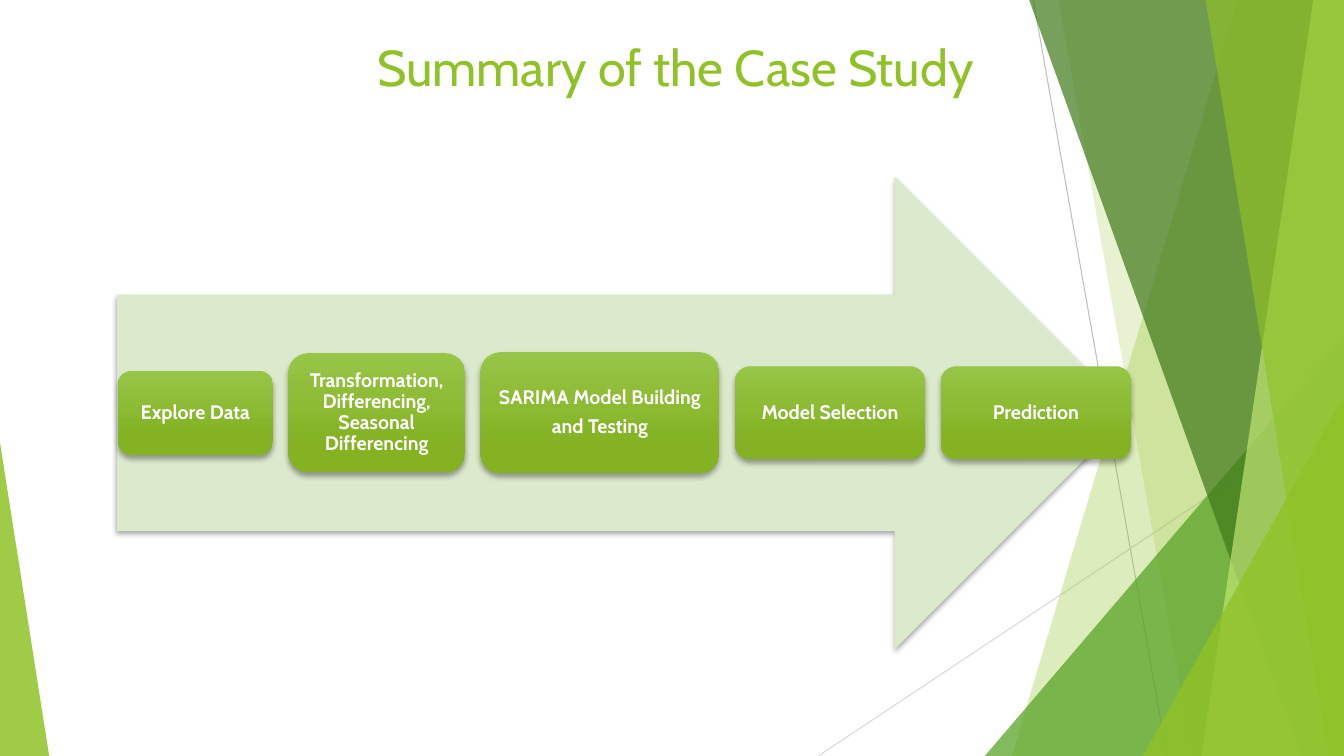
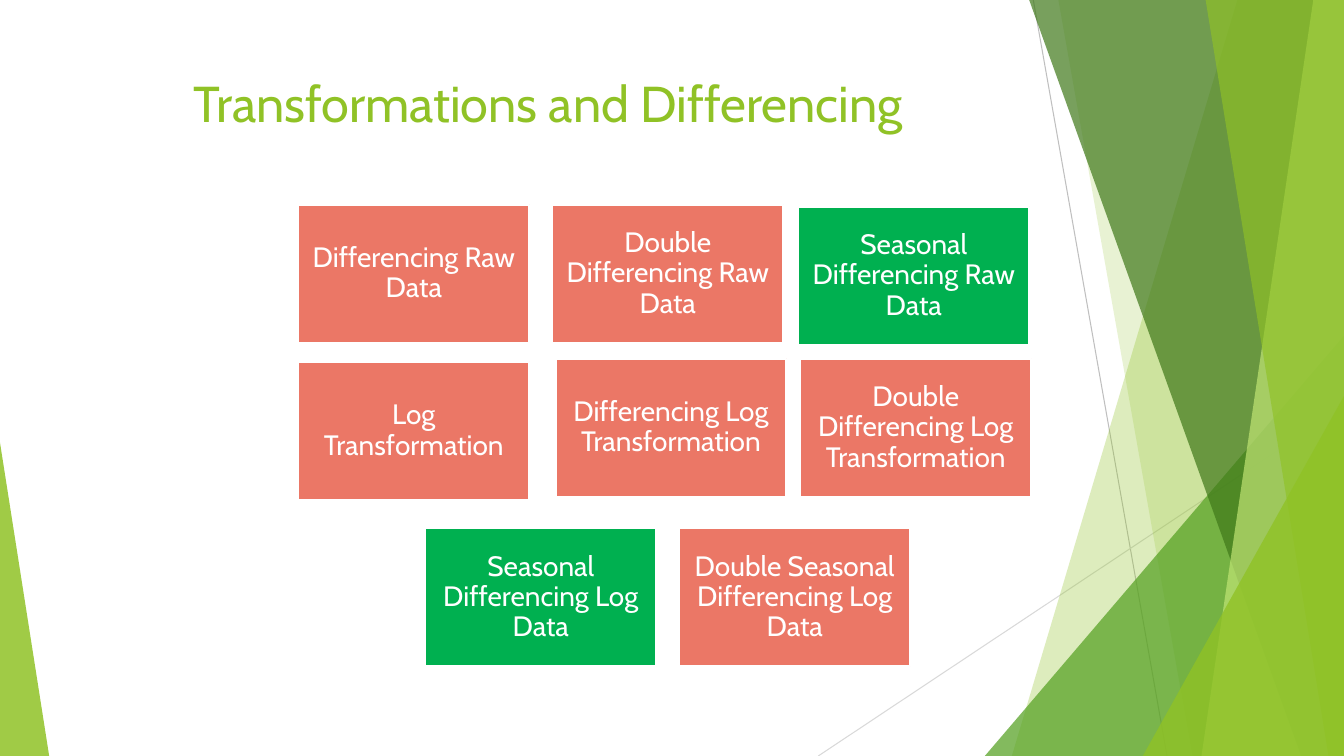
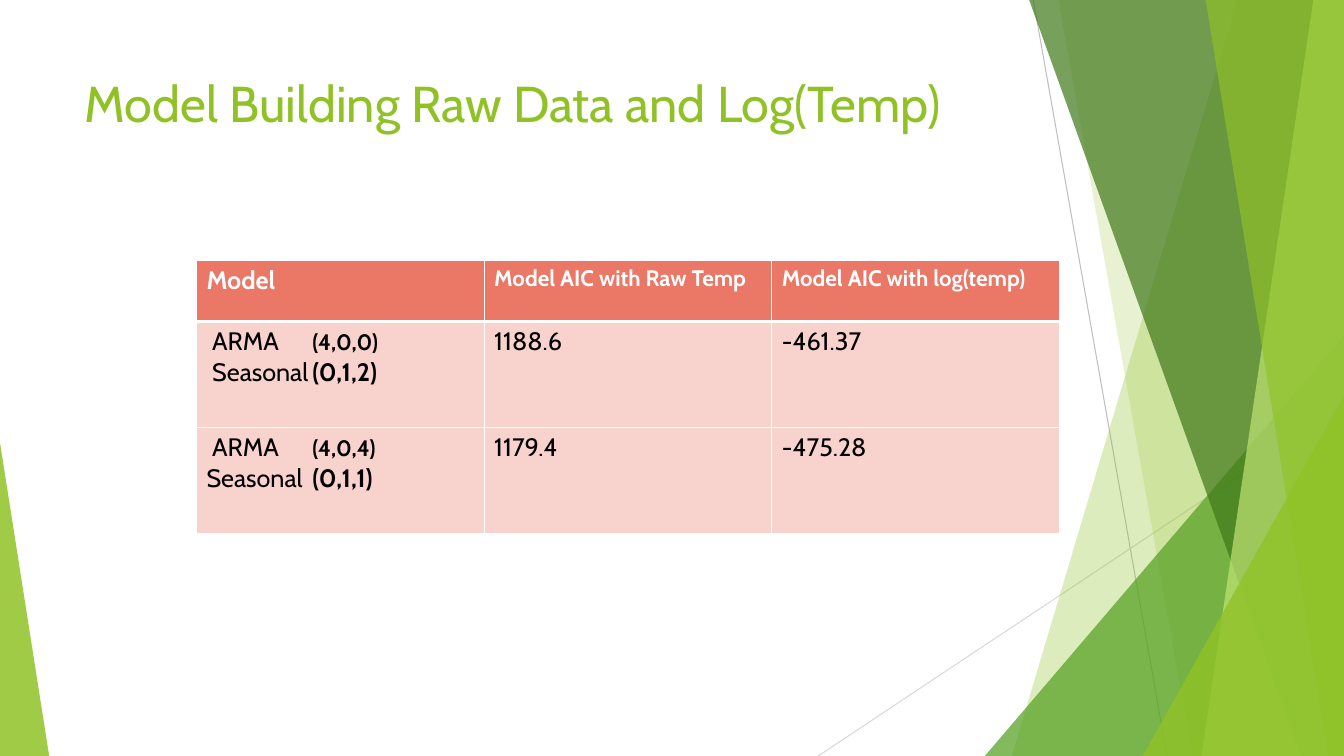
import lxml.etree
import pptx
import pptx.dml.color
import pptx.enum.shapes
import pptx.enum.text
import pptx.oxml
import pptx.oxml.ns
import pptx.util

Cm, Pt, qn = pptx.util.Cm, pptx.util.Pt, pptx.oxml.ns.qn
Preset = pptx.enum.shapes.MSO_SHAPE
Align = pptx.enum.text.PP_ALIGN
Anchor = pptx.enum.text.MSO_ANCHOR

FONT = "Cabin"
GREEN, WHITE, BLACK = "90C226", "FFFFFF", "000000"
CORAL, PALE_CORAL, CHOSEN = "EB7766", "F8D2CC", "00B050"
WIDTH, HEIGHT = 33.87, 19.05


def set_color(color_format, hex_color):
    """Give a fill, line, font or gradient stop its colour."""
    color_format.rgb = pptx.dml.color.RGBColor.from_string(hex_color)


def add_box(slide, preset, left, top, width, height, lines=(), size=14, bold=False,
            margin=0.15, shadow=None):
    """Add a shape with centred white text and a shadow of (blur, distance) points."""
    shape = slide.shapes.add_shape(preset, Cm(left), Cm(top), Cm(width), Cm(height))
    shape.line.fill.background()
    shape.shadow.inherit = False
    if shadow:
        blur, distance = shadow
        effects = shape.element.spPr.find(qn("a:effectLst"))
        outer = lxml.etree.SubElement(effects, qn("a:outerShdw"), blurRad=str(Pt(blur)),
                                      dist=str(Pt(distance)), dir="5400000", rotWithShape="0")
        color = lxml.etree.SubElement(outer, qn("a:srgbClr"), val=BLACK)
        lxml.etree.SubElement(color, qn("a:alpha"), val="35000")
    frame = shape.text_frame
    frame.word_wrap = True
    frame.vertical_anchor = Anchor.MIDDLE
    frame.margin_left = frame.margin_right = Cm(margin)
    frame.margin_top = frame.margin_bottom = Cm(margin)
    for index, line in enumerate(lines):
        paragraph = frame.add_paragraph() if index else frame.paragraphs[0]
        paragraph.text = line
        paragraph.alignment = Align.CENTER
        paragraph.line_spacing = 0.9
        paragraph.space_after = Pt(0.35 * size)
        paragraph.font.name, paragraph.font.size = FONT, Pt(size)
        paragraph.font.bold = bold
        set_color(paragraph.font.color, WHITE)
    return shape


presentation = pptx.Presentation()
presentation.slide_width, presentation.slide_height = Cm(WIDTH), Cm(HEIGHT)
layout = presentation.slide_layouts[5]
for placeholder in list(layout.placeholders):
    if placeholder.placeholder_format.type != pptx.enum.shapes.PP_PLACEHOLDER.TITLE:
        layout.shapes.element.remove(placeholder.element)

# Slides and titles: text, left, top, width, height, alignment
titles = [
    ("Summary of the Case Study", 3.05, 0.79, 27.94, 3.05, Align.CENTER),
    ("Transformations and Differencing", 1.88, 1.7, 23.88, 3.66, Align.CENTER),
    ("Model Building Raw Data and Log(Temp)", 1.88, 1.7, 23.88, 3.66, Align.LEFT),
]
slides = []
for text, left, top, width, height, alignment in titles:
    slide = presentation.slides.add_slide(layout)
    title = slide.shapes.title
    title.left, title.top, title.width, title.height = Cm(left), Cm(top), Cm(width), Cm(height)
    title.text_frame.vertical_anchor = Anchor.TOP
    paragraph = title.text_frame.paragraphs[0]
    paragraph.text = text
    paragraph.alignment = alignment
    paragraph.font.name, paragraph.font.size = FONT, Pt(36)
    set_color(paragraph.font.color, GREEN)
    slides.append(slide)
summary, transformations, models = slides

# Backdrop, drawn once and moved to the layout
backdrop = []
for start_x, start_y, end_x, color in [(26.04, 0, 29.41, "BFBFBF"),
                                       (WIDTH, 10.24, 20.62, "D9D9D9")]:
    line = summary.shapes.add_connector(pptx.enum.shapes.MSO_CONNECTOR.STRAIGHT,
                                        Cm(start_x), Cm(start_y), Cm(end_x), Cm(HEIGHT))
    set_color(line.line.color, color)
    line.line.width = Pt(0.75)
    lxml.etree.SubElement(line.element.spPr, qn("a:effectLst"))
    backdrop.append(line)

# Bands reach the right edge: (top x, bottom x)
# Triangles stand on the bottom edge: (left, top, width, apex)
facets = [
    ((31.19, 25.5), GREEN, 30),
    ((26.67, 30.05), GREEN, 20),
    ((24.82, 8.46, 9.05, 1), "54A021", 72),
    ((25.93, 32.79), "3F7819", 70),
    ((33.1, 30.28), "C0E474", 70),
    ((30.38, 33.48), GREEN, 65),
    ((28.8, 9.98, 5.07, 1), GREEN, 80),
    ((0, 11.15, 1.24, 0), GREEN, 85),
]
for geometry, color, opacity in facets:
    if len(geometry) == 2:
        top_x, bottom_x = geometry
        builder = summary.shapes.build_freeform(Cm(top_x), Cm(-0.02))
        builder.add_line_segments([(Cm(WIDTH), Cm(-0.02)), (Cm(WIDTH), Cm(HEIGHT)),
                                   (Cm(bottom_x), Cm(HEIGHT))])
        facet = builder.convert_to_shape()
        facet.line.fill.background()
        facet.shadow.inherit = False
    else:
        left, top, width, apex = geometry
        facet = add_box(summary, Preset.ISOSCELES_TRIANGLE, left, top, width, HEIGHT - top)
        facet.adjustments[0] = apex
    facet.fill.solid()
    set_color(facet.fill.fore_color, color)
    lxml.etree.SubElement(facet.element.spPr.find(".//" + qn("a:srgbClr")), qn("a:alpha"),
                          val=str(opacity * 1000))
    backdrop.append(facet)
for index, shape in enumerate(backdrop):
    layout.shapes.element.insert(2 + index, shape.element)

# Summary: steps along an arrow
arrow = add_box(summary, Preset.RIGHT_ARROW, 2.95, 4.45, 25.55, 11.91, shadow=(3, 2))
arrow.fill.solid()
set_color(arrow.fill.fore_color, "DBE9CD")
steps = [
    (["Explore Data"], 3.91, 2.11),
    (["Transformation, Differencing, Seasonal Differencing"], 4.45, 3),
    (["SARIMA Model Building", "and Testing"], 6.02, 3.05),
    (["Model Selection"], 4.8, 2.34),
    (["Prediction"], 4.8, 2.34),
]
step_left, step_gap, step_middle = 2.97, 0.39, 10.4
for lines, width, height in steps:
    step = add_box(summary, Preset.ROUNDED_RECTANGLE, step_left, step_middle - height / 2,
                   width, height, lines, bold=True, shadow=(4, 3))
    step.fill.gradient()
    step.fill.gradient_angle = 270
    for stop, color, position in zip(step.fill.gradient_stops, ("97C547", "84B223"), (0, 0.78)):
        set_color(stop.color, color)
        stop.position = position
    step_left += width + step_gap

# Transformations: text, left, top, colour
cards = [
    ("Differencing Raw Data", 7.52, 5.16, CORAL),
    ("Double Differencing Raw Data", 13.92, 5.16, CORAL),
    ("Log Transformation", 7.52, 9.12, CORAL),
    ("Differencing Log Transformation", 14, 9.04, CORAL),
    ("Double Differencing Log Transformation", 20.17, 9.04, CORAL),
    ("Seasonal Differencing Raw Data", 20.12, 5.21, CHOSEN),
    ("Seasonal Differencing Log Data", 10.72, 13.31, CHOSEN),
    ("Double Seasonal Differencing Log Data", 17.12, 13.31, CORAL),
]
for text, left, top, color in cards:
    card = add_box(transformations, Preset.RECTANGLE, left, top, 5.82, 3.48, [text], 20,
                   margin=0.2)
    card.fill.solid()
    set_color(card.fill.fore_color, color)
    set_color(card.line.color, WHITE)
    card.line.width = Pt(1.5)

# Models: each cell is a list of paragraphs, each a list of (text, size, bold)
model_rows = [
    [[[("Model", 18, True)]], [[("Model AIC with Raw Temp", 16, True)]],
     [[("Model AIC with log(temp)", 16, True)]]],
]
for order, seasonal_label, seasonal_order, raw, log in [
        ("(4,0,0)", " Seasonal", "(0,1,2)", "1188.6", "-461.37"),
        ("(4,0,4)", "Seasonal", "(0,1,1)", "1179.4", "-475.28")]:
    model_rows.append([
        [[(" ARMA\t", 18, False), (order, 16, True)],
         [(seasonal_label + "\t", 18, False), (seasonal_order, 18, True)]],
        [[(raw, 18, False)]],
        [[(log, 18, False)]],
    ])
row_heights = [1.55, 2.67, 2.67]
table = models.shapes.add_table(3, 3, Cm(4.95), Cm(6.55), Cm(21.75), Cm(sum(row_heights))).table
for column in table.columns:
    column.width = Cm(7.25)
for row_index, cells in enumerate(model_rows):
    table.rows[row_index].height = Cm(row_heights[row_index])
    header = row_index == 0
    for column_index, paragraphs in enumerate(cells):
        cell = table.cell(row_index, column_index)
        cell.fill.solid()
        set_color(cell.fill.fore_color, CORAL if header else PALE_CORAL)
        border_widths = {"L": 1, "R": 1, "T": 3 if row_index == 1 else 1, "B": 3 if header else 1}
        properties = cell.fill.fore_color and cell._tc.get_or_add_tcPr()
        for position, (side, border_width) in enumerate(border_widths.items()):
            border = lxml.etree.Element(qn("a:ln" + side), w=str(Pt(border_width)))
            border_fill = lxml.etree.SubElement(border, qn("a:solidFill"))
            lxml.etree.SubElement(border_fill, qn("a:srgbClr"), val=WHITE)
            properties.insert(position, border)
        for index, runs in enumerate(paragraphs):
            frame = cell.text_frame
            paragraph = frame.add_paragraph() if index else frame.paragraphs[0]
            if len(runs) > 1:
                tabs = lxml.etree.SubElement(paragraph._p.get_or_add_pPr(), qn("a:tabLst"))
                lxml.etree.SubElement(tabs, qn("a:tab"), pos=str(Cm(2.67)), algn="l")
            paragraph.font.name = FONT
            set_color(paragraph.font.color, WHITE if header else BLACK)
            for text, size, bold in runs:
                run = paragraph.add_run()
                run.text = text
                run.font.size, run.font.bold = Pt(size), bold

presentation.save("out.pptx")
